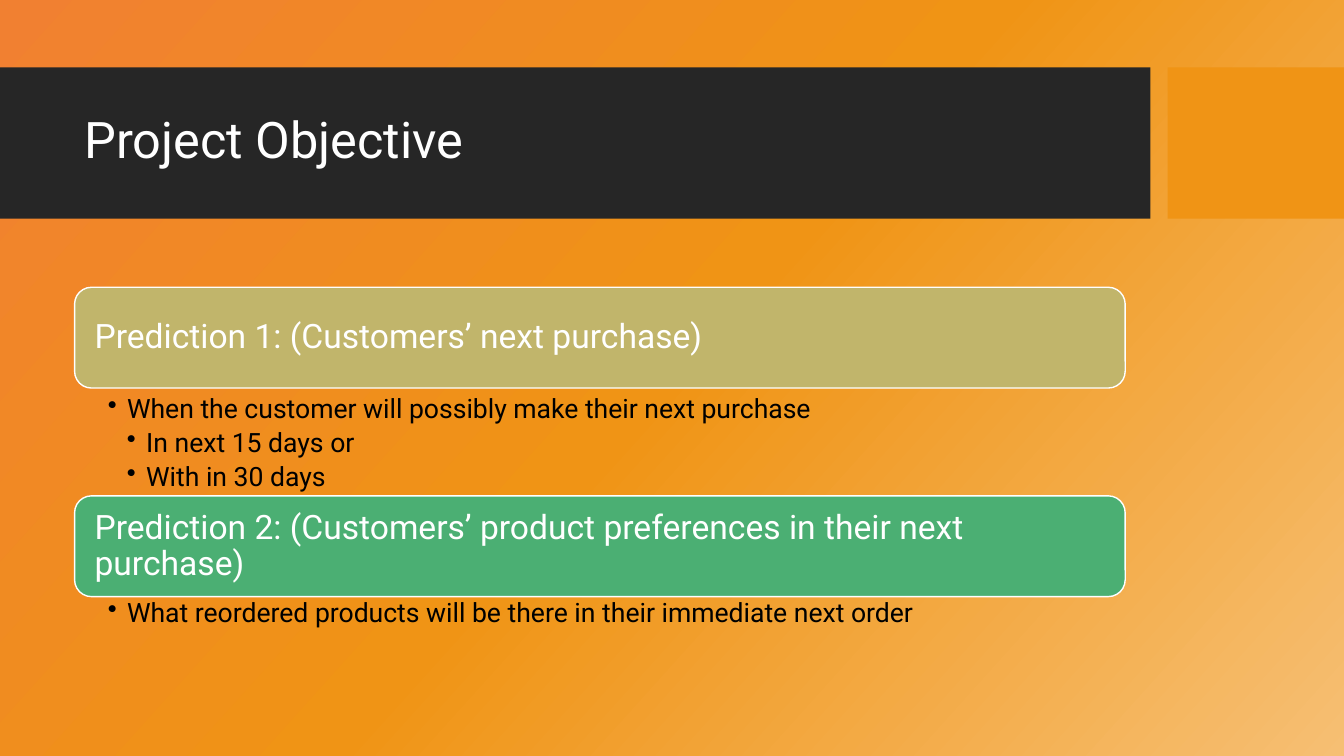
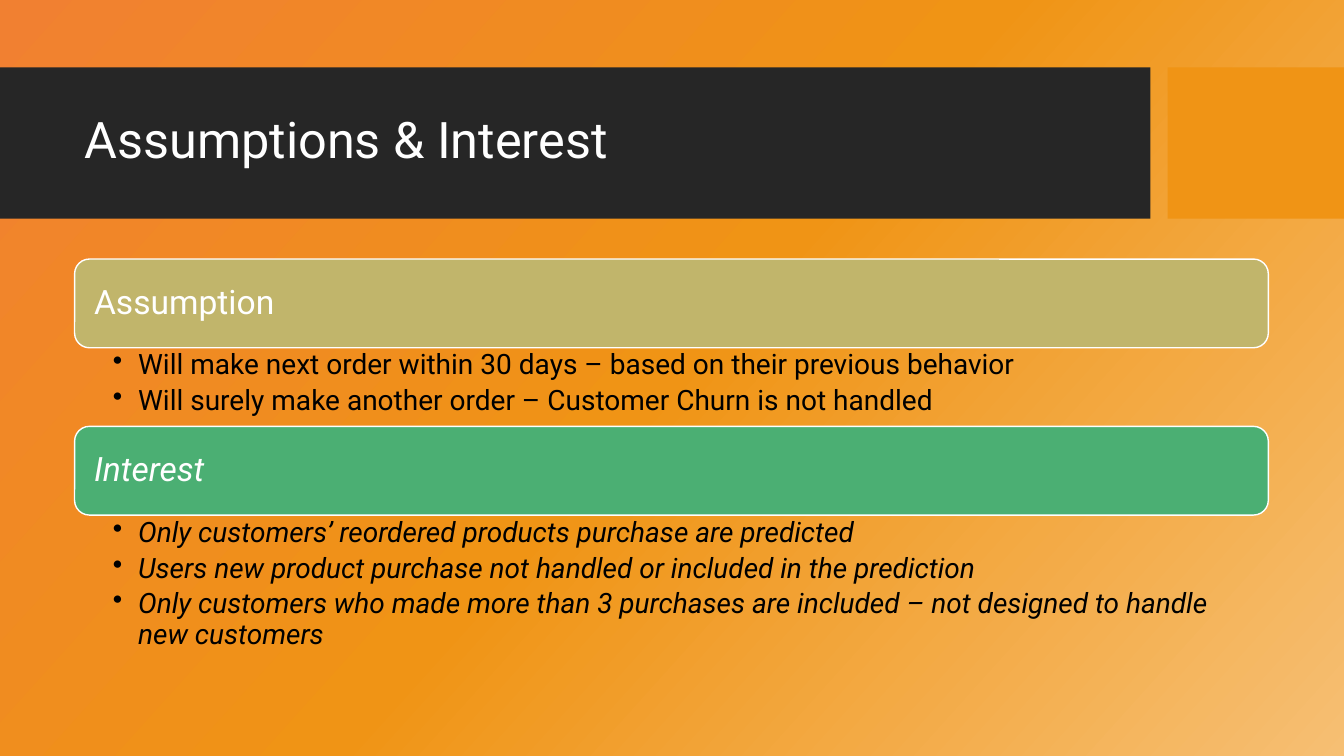
from dataclasses import dataclass

from lxml import etree
from pptx import Presentation, util as u
from pptx.dml.color import RGBColor
from pptx.enum import shapes, text
from pptx.oxml import ns

WIDTH, HEIGHT = u.Inches(13.33), u.Inches(7.5)


@dataclass(frozen=True)
class Theme:
    font: str = "Roboto"
    dark: str = "262626"
    accent: str = "F09415"
    light: str = "FFFFFF"
    ink: str = "000000"
    sections: tuple = ("C1B56B", "4BAF73")
    backdrop: tuple = ((0, "F18031"), (50, "F09415"), (100, "F6BF73"))
    backdrop_angle: int = 42
    title_size: int = 36
    heading_size: int = 24
    line_spacing: float = 0.9
    bullet_gap: float = 0.2


@dataclass(frozen=True)
class Section:
    heading: str
    bullets: tuple
    list_height: float
    gap: float = 0
    italic: bool = False


@dataclass(frozen=True)
class Layout:
    top: float
    width: float
    heading_height: float
    bullet_size: int
    hang: float
    left_inset: float
    right_inset: float


THEME = Theme()
MARGIN = 5.55

OBJECTIVE_LAYOUT = Layout(38, 78.17, 13.33, 19, 0.19, 0.33, 0.19)
OBJECTIVE = (
    Section("Prediction 1: (Customers’ next purchase)",
            ((1, "When the customer will possibly make their next purchase"),
             (2, "In next 15 days or"),
             (2, "With in 30 days")), 13.73, gap=0.53),
    Section("Prediction 2: (Customers’ product preferences in their next purchase)",
            ((1, "What reordered products will be there in their immediate next order"),),
            10.67),
)

ASSUMPTIONS_LAYOUT = Layout(34.27, 88.82, 11.73, 20, 0.25, 0.38, 0.16)
ASSUMPTIONS = (
    Section("Assumption",
            ((1, "Will make next order within 30 days – based on their previous behavior"),
             (1, "Will surely make another order – Customer Churn is not handled")), 10.4),
    Section("Interest",
            ((1, "Only customers’ reordered products purchase are predicted"),
             (1, "Users new product purchase not handled or included in the prediction"),
             (1, "Only customers who made more than 3 purchases are included"
                 " – not designed to handle new customers")), 18.13, italic=True),
)


def area(left, top, width, height):
    return (int(WIDTH * left / 100), int(HEIGHT * top / 100),
            int(WIDTH * width / 100), int(HEIGHT * height / 100))


def paint_backdrop(master):
    fill = master.background.fill
    fill.gradient()
    fill.gradient_angle = 360 - THEME.backdrop_angle
    stops = master.element.find(".//" + ns.qn("a:gsLst"))
    for stop in list(stops):
        stops.remove(stop)
    for position, color in THEME.backdrop:
        stop = etree.SubElement(stops, ns.qn("a:gs"), pos=str(position * 1000))
        etree.SubElement(stop, ns.qn("a:srgbClr"), val=color)


def add_block(slide, kind, place, color, outline=None):
    block = slide.shapes.add_shape(kind, *area(*place))
    block.shadow.inherit = False
    block.fill.solid()
    block.fill.fore_color.rgb = RGBColor.from_string(color)
    if outline:
        block.line.color.rgb = RGBColor.from_string(outline)
        block.line.width = u.Pt(1)
    else:
        block.line.fill.background()
    return block


def set_insets(frame, left, top, right, bottom):
    frame.word_wrap = True
    frame.margin_left, frame.margin_top = u.Inches(left), u.Inches(top)
    frame.margin_right, frame.margin_bottom = u.Inches(right), u.Inches(bottom)


def style_paragraph(paragraph, size, color, italic=False):
    paragraph.alignment = text.PP_ALIGN.LEFT
    paragraph.line_spacing = THEME.line_spacing
    for run in paragraph.runs:
        run.font.name = THEME.font
        run.font.size = u.Pt(size)
        run.font.color.rgb = RGBColor.from_string(color)
        if italic:
            run.font.italic = True


def add_bullet_mark(paragraph, level, hang):
    paragraph.level = level
    properties = paragraph._p.get_or_add_pPr()
    properties.set("marL", str(u.Inches(hang * level)))
    properties.set("indent", str(-u.Inches(hang)))
    etree.SubElement(properties, ns.qn("a:buChar"), char="•")


def add_title_band(slide, title):
    rectangle = shapes.MSO_SHAPE.RECTANGLE
    add_block(slide, rectangle, (0, 8.93, 85.6, 20), THEME.dark)
    add_block(slide, rectangle, (86.87, 8.93, 13.13, 20), THEME.accent)
    frame = slide.shapes.add_textbox(*area(MARGIN, 10.93, 78.84, 15.73)).text_frame
    set_insets(frame, 0.1, 0.05, 0.1, 0.05)
    frame.vertical_anchor = text.MSO_ANCHOR.MIDDLE
    frame.text = title
    style_paragraph(frame.paragraphs[0], THEME.title_size, THEME.light)


def add_heading(slide, section, place, color):
    heading = add_block(slide, shapes.MSO_SHAPE.ROUNDED_RECTANGLE, place, color, THEME.light)
    frame = heading.text_frame
    set_insets(frame, 0.15, 0.1, 0.15, 0.1)
    frame.vertical_anchor = text.MSO_ANCHOR.MIDDLE
    frame.text = section.heading
    style_paragraph(frame.paragraphs[0], THEME.heading_size, THEME.light, section.italic)


def add_bullets(slide, section, place, layout):
    frame = slide.shapes.add_textbox(*area(*place)).text_frame
    set_insets(frame, layout.left_inset, 0.03, layout.right_inset, 0.03)
    frame.text = "\n".join(wording for _, wording in section.bullets)
    for paragraph, (level, _) in zip(frame.paragraphs, section.bullets):
        add_bullet_mark(paragraph, level, layout.hang)
        style_paragraph(paragraph, layout.bullet_size, THEME.ink, section.italic)
        paragraph.space_after = u.Pt(layout.bullet_size * THEME.bullet_gap)


def add_sections_slide(deck, title, sections, layout):
    slide = deck.slides.add_slide(deck.slide_layouts[6])
    add_title_band(slide, title)
    top = layout.top
    for section, color in zip(sections, THEME.sections):
        add_heading(slide, section, (MARGIN, top, layout.width, layout.heading_height), color)
        top += layout.heading_height + section.gap
        add_bullets(slide, section, (MARGIN, top, layout.width, section.list_height), layout)
        top += section.list_height


def main():
    deck = Presentation()
    deck.slide_width, deck.slide_height = WIDTH, HEIGHT
    paint_backdrop(deck.slide_master)
    add_sections_slide(deck, "Project Objective", OBJECTIVE, OBJECTIVE_LAYOUT)
    add_sections_slide(deck, "Assumptions & Interest", ASSUMPTIONS, ASSUMPTIONS_LAYOUT)
    deck.save("out.pptx")


if __name__ == "__main__":
    main()
